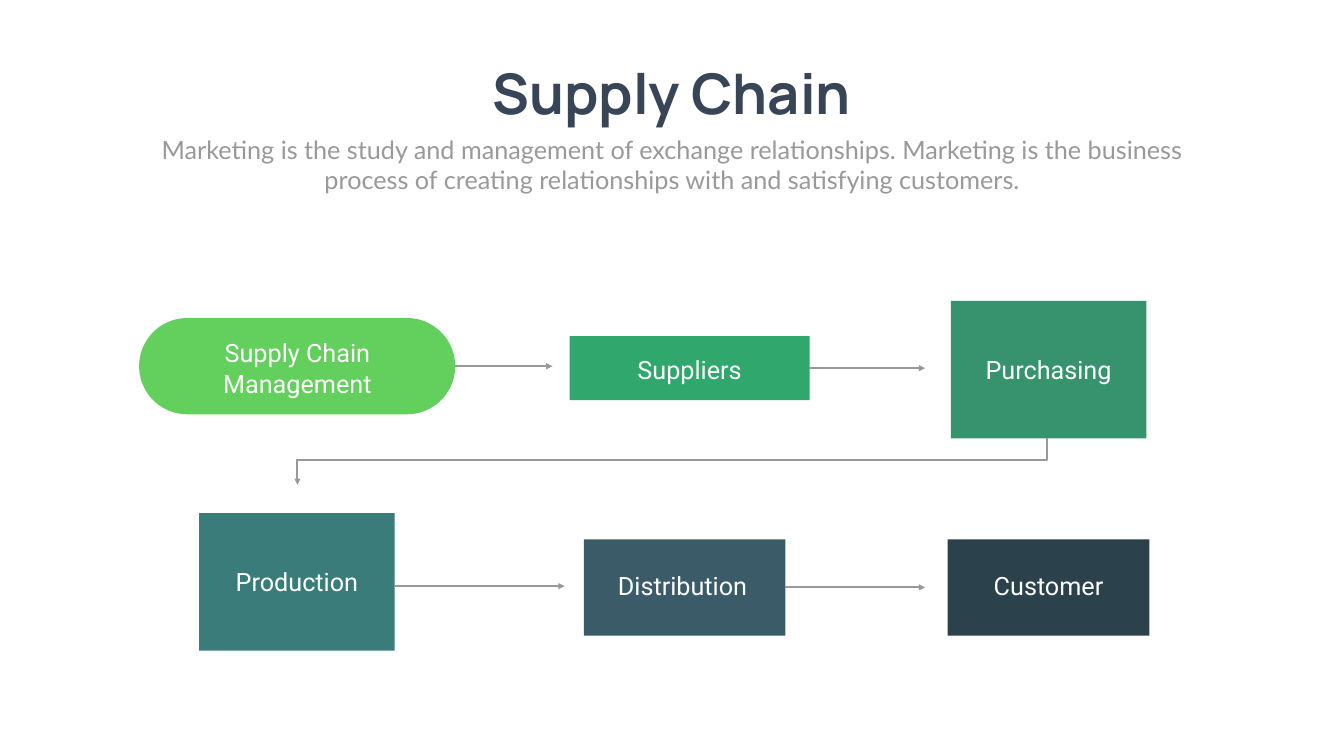
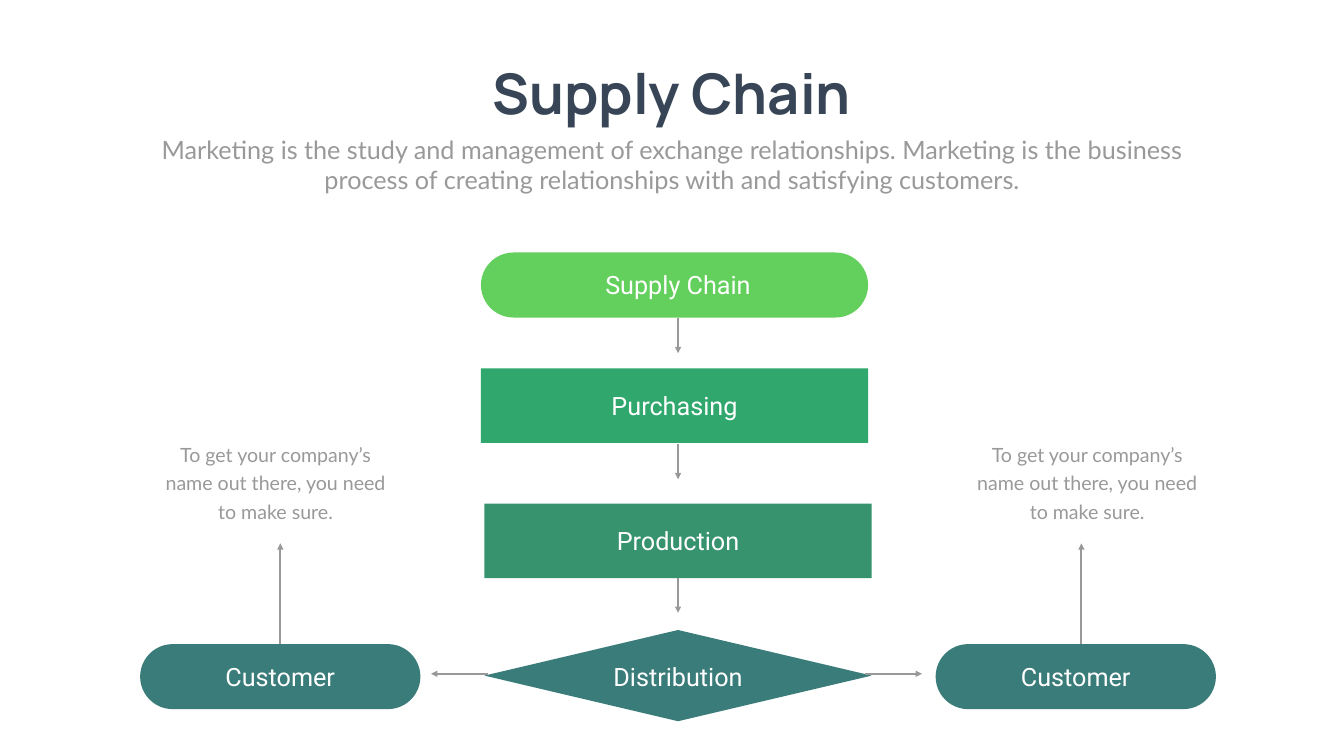
from dataclasses import dataclass
from typing import Optional

from lxml.etree import SubElement
from pptx import Presentation
from pptx.dml.color import RGBColor
from pptx.enum.shapes import MSO_CONNECTOR as Link, MSO_SHAPE as Kind
from pptx.enum.text import MSO_ANCHOR as Anchor, MSO_AUTO_SIZE as Fit, PP_ALIGN as Align
from pptx.oxml.ns import qn
from pptx.util import Inches, Pt


@dataclass(frozen=True)
class Theme:
    background: str = "FEFFFE"
    title: str = "374556"
    muted: str = "999999"
    white: str = "FFFFFF"
    lime: str = "63CF5C"
    green: str = "30A76D"
    forest: str = "36936E"
    teal: str = "3A7C79"
    slate: str = "3B5B69"
    navy: str = "2B424D"
    title_font: str = "Manrope"
    body_font: str = "Lato"
    label_font: str = "Roboto"
    title_size: int = 80
    body_size: int = 36
    note_size: int = 28
    note_leading: float = 40.8
    arrow_width: int = 3


THEME = Theme()
TOP, LEFT, BOTTOM, RIGHT = range(4)
LABEL_WIDTH = 3.4
LABEL_HEIGHT = 0.71
LABEL = dict(font=THEME.label_font, size=THEME.body_size, color=THEME.white)


@dataclass(frozen=True)
class Box:
    left: float
    top: float
    width: float
    height: float

    def inches(self) -> list:
        return [Inches(v) for v in (self.left, self.top, self.width, self.height)]


@dataclass(frozen=True)
class Step:
    label: str
    box: Box
    color: str
    kind: Kind = Kind.RECTANGLE
    label_at: Optional[tuple[float, float]] = None
    label_height: float = LABEL_HEIGHT


@dataclass(frozen=True)
class Arrow:
    start: tuple[float, float]
    end: tuple[float, float]
    source: Optional[int] = None
    side: int = RIGHT


def write(frame, text: str, *, font: str, size: float, color: str, bold: bool = False,
          wrap: bool = True, leading: Optional[float] = None) -> None:
    frame.word_wrap = wrap
    line = frame.paragraphs[0]
    line.alignment = Align.CENTER
    if leading:
        line.line_spacing = Pt(leading)
    run = line.add_run()
    run.text = text
    run.font.name = font
    run.font.size = Pt(size)
    run.font.bold = bold
    run.font.color.rgb = RGBColor.from_string(color)


def add_text(slide, box: Box, text: str, **style) -> None:
    frame = slide.shapes.add_textbox(*box.inches()).text_frame
    write(frame, text, **style)
    frame.auto_size = Fit.SHAPE_TO_FIT_TEXT


def add_step(slide, step: Step):
    block = slide.shapes.add_shape(step.kind, *step.box.inches())
    block.shadow.inherit = False
    block.fill.solid()
    block.fill.fore_color.rgb = RGBColor.from_string(step.color)
    block.line.fill.background()
    if step.kind == Kind.ROUNDED_RECTANGLE:
        block.adjustments[0] = 0.5
    if step.label_at:
        add_text(slide, Box(*step.label_at, LABEL_WIDTH, step.label_height), step.label, **LABEL)
    else:
        block.text_frame.vertical_anchor = Anchor.MIDDLE
        write(block.text_frame, step.label, **LABEL)
    return block


def add_link(slide, start: tuple[float, float], end: tuple[float, float],
             kind: Link = Link.STRAIGHT, head: bool = True):
    link = slide.shapes.add_connector(kind, *[Inches(v) for v in (*start, *end)])
    link.line.color.rgb = RGBColor.from_string(THEME.muted)
    link.line.width = Pt(THEME.arrow_width)
    properties = link._element.spPr
    if head:
        SubElement(properties.find(qn("a:ln")), qn("a:tailEnd"), type="triangle")
    SubElement(properties, qn("a:effectLst"))
    return link


def add_arrow(slide, arrow: Arrow, blocks: list) -> None:
    link = add_link(slide, arrow.start, arrow.end)
    if arrow.source is None:
        return
    link.begin_connect(blocks[arrow.source], arrow.side)
    if arrow.side in (LEFT, RIGHT):
        link.end_y = link.begin_y
    else:
        link.end_x = link.begin_x


def add_return_elbow(slide, start: tuple[float, float], end: tuple[float, float]) -> None:
    middle_x, middle_y = (start[0] + end[0]) / 2, (start[1] + end[1]) / 2
    half_run, half_drop = (start[0] - end[0]) / 2, (end[1] - start[1]) / 2
    elbow = add_link(slide, (middle_x - half_drop, middle_y - half_run),
                     (middle_x + half_drop, middle_y + half_run), Link.ELBOW, head=False)
    properties = elbow._element.spPr
    properties.find(qn("a:xfrm")).set("rot", str(90 * 60000))
    properties.find(qn("a:prstGeom")).set("prst", "bentConnector2")


def add_flow(deck, steps: list[Step], arrows: list[Arrow]):
    slide = deck.slides.add_slide(deck.slide_layouts[6])
    slide.background.fill.solid()
    slide.background.fill.fore_color.rgb = RGBColor.from_string(THEME.background)
    add_text(slide, Box(9.37, 1.12, 7.91, 1.45), "Supply Chain", font=THEME.title_font,
             size=THEME.title_size, color=THEME.title, bold=True, wrap=False)
    add_text(slide, Box(2.92, 2.61, 20.82, 1.31),
             "Marketing is the study and management of exchange relationships. "
             "Marketing is the business process of creating relationships with and "
             "satisfying customers.",
             font=THEME.body_font, size=THEME.body_size, color=THEME.muted)
    blocks = [add_step(slide, step) for step in steps]
    for arrow in arrows:
        add_arrow(slide, arrow, blocks)
    return slide


def build_two_row_flow(deck) -> None:
    steps = [
        Step("Supply Chain Management", Box(2.76, 6.31, 6.27, 1.91), THEME.lime,
             Kind.ROUNDED_RECTANGLE, (4.2, 6.65), 1.31),
        Step("Suppliers", Box(11.3, 6.67, 4.76, 1.27), THEME.green, label_at=(11.98, 6.98)),
        Step("Purchasing", Box(18.86, 5.97, 3.88, 2.73), THEME.forest, label_at=(19.1, 6.98)),
        Step("Production", Box(3.95, 10.18, 3.88, 2.73), THEME.teal, label_at=(4.19, 11.19)),
        Step("Distribution", Box(11.58, 10.7, 4, 1.91), THEME.slate, label_at=(11.84, 11.26)),
        Step("Customer", Box(18.8, 10.7, 4, 1.91), THEME.navy, label_at=(19.1, 11.26)),
    ]
    arrows = [
        Arrow((9.03, 7.26), (10.96, 7.26), source=0),
        Arrow((16.06, 7.26), (18.35, 7.26), source=1),
        Arrow((5.9, 9.12), (5.9, 9.62)),
        Arrow((7.82, 11.63), (11.2, 11.63)),
        Arrow((15.58, 11.63), (18.35, 11.63), source=4),
    ]
    slide = add_flow(deck, steps, arrows)
    add_return_elbow(slide, (20.76, 8.7), (5.88, 9.12))


def build_branching_flow(deck) -> None:
    pill = Kind.ROUNDED_RECTANGLE
    steps = [
        Step("Supply Chain", Box(9.54, 5.01, 7.68, 1.29), THEME.lime, pill, (11.75, 5.3)),
        Step("Purchasing", Box(9.54, 7.31, 7.68, 1.48), THEME.green),
        Step("Production", Box(9.61, 9.99, 7.68, 1.48), THEME.forest),
        Step("Distribution", Box(9.61, 12.5, 7.68, 1.81), THEME.teal, Kind.DIAMOND,
             (11.75, 13.08)),
        Step("Customer", Box(2.78, 12.78, 5.56, 1.29), THEME.teal, pill),
        Step("Customer", Box(18.56, 12.78, 5.56, 1.29), THEME.teal, pill),
    ]
    arrows = [
        Arrow((13.45, 6.31), (13.45, 7.01)),
        Arrow((13.45, 8.81), (13.45, 9.51)),
        Arrow((13.45, 11.47), (13.45, 12.16), source=2, side=BOTTOM),
        Arrow((9.69, 13.37), (8.55, 13.37)),
        Arrow((17.15, 13.37), (18.29, 13.37)),
        Arrow((5.55, 12.78), (5.55, 10.78), source=4, side=TOP),
        Arrow((21.45, 12.78), (21.45, 10.78)),
    ]
    slide = add_flow(deck, steps, arrows)
    for note_left in (2.99, 19.09):
        add_text(slide, Box(note_left, 8.63, 4.95, 1.78),
                 "To get your company’s name out there, you need to make sure.",
                 font=THEME.body_font, size=THEME.note_size, color=THEME.muted,
                 leading=THEME.note_leading)


def main() -> None:
    deck = Presentation()
    deck.slide_width, deck.slide_height = Inches(26.66), Inches(15)
    build_two_row_flow(deck)
    build_branching_flow(deck)
    deck.save("out.pptx")


if __name__ == "__main__":
    main()
